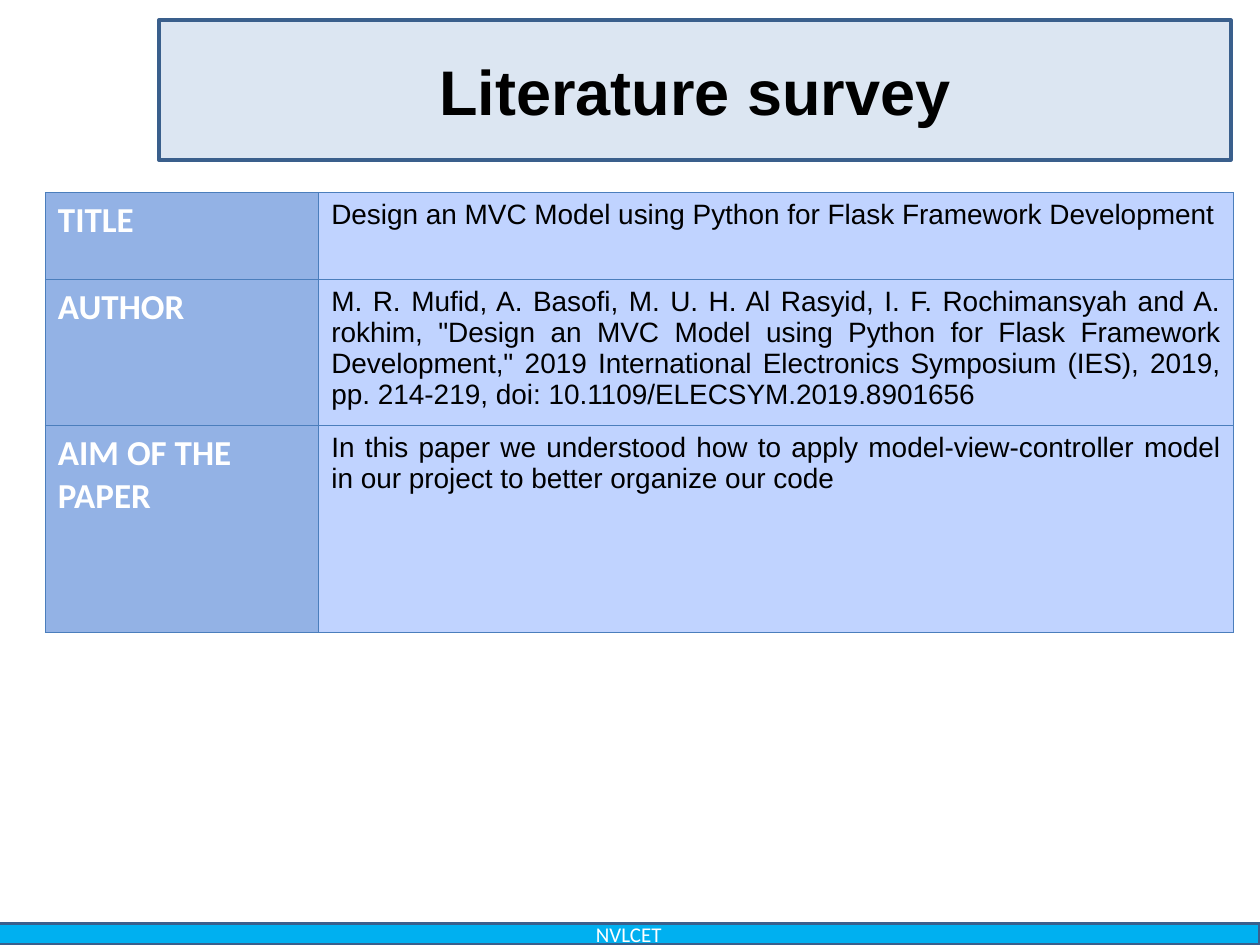
import dataclasses

import lxml.etree
import pptx
import pptx.dml.color
import pptx.enum.shapes
import pptx.enum.text
import pptx.oxml.ns
import pptx.util

Inches = pptx.util.Inches
Pt = pptx.util.Pt
RGBColor = pptx.dml.color.RGBColor
ALIGN = pptx.enum.text.PP_ALIGN
MIDDLE = pptx.enum.text.MSO_ANCHOR.MIDDLE

BLACK = RGBColor(0x00, 0x00, 0x00)
WHITE = RGBColor(0xFF, 0xFF, 0xFF)
PALE = RGBColor(0xDC, 0xE6, 0xF2)
CYAN = RGBColor(0x00, 0xB0, 0xF0)
NAVY = RGBColor(0x3A, 0x5F, 0x8C)
EDGE = RGBColor(0x4B, 0x7E, 0xBC)
LABEL = RGBColor(0x93, 0xB2, 0xE5)
BODY = RGBColor(0xC0, 0xD3, 0xFF)


@dataclasses.dataclass
class Style:
    """Look of one run of text and its paragraph."""
    size: int
    name: str
    color: RGBColor
    bold: bool
    align: ALIGN


@dataclasses.dataclass
class Bar:
    """A framed box with centred text."""
    text: str
    box: tuple
    fill: RGBColor
    style: Style


@dataclasses.dataclass
class Row:
    """One table row: label, text and height in inches."""
    label: str
    text: str
    height: float


HEAD = Style(36, "Arial", BLACK, True, ALIGN.CENTER)
FOOT = Style(12, "Calibri", WHITE, False, ALIGN.CENTER)
NAME = Style(20, "Calibri", WHITE, True, ALIGN.LEFT)
TEXT = Style(16, "Arial", BLACK, False, ALIGN.JUSTIFY)

BARS = [
    Bar("Literature survey", (1.26, 0.16, 8.51, 1.11), PALE, HEAD),
    Bar("NVLCET", (-0.02, 7.33, 10.02, 0.17), CYAN, FOOT),
]
ROWS = [
    Row("TITLE", "Design an MVC Model using Python for Flask Framework "
        "Development", 0.69),
    Row("AUTHOR", "M. R. Mufid, A. Basofi, M. U. H. Al Rasyid, "
        "I. F. Rochimansyah and A. rokhim, \"Design an MVC Model using Python "
        "for Flask Framework Development,\" 2019 International Electronics "
        "Symposium (IES), 2019, pp. 214-219, "
        "doi: 10.1109/ELECSYM.2019.8901656", 1.16),
    Row("AIM OF THE PAPER", "In this paper we understood how to apply "
        "model-view-controller model in our project to better organize "
        "our code", 1.64),
]
WIDTHS = (2.17, 7.26)


def write(frame, text: str, style: Style) -> None:
    """Put styled text in a frame."""
    para = frame.paragraphs[0]
    para.alignment = style.align
    run = para.add_run()
    run.text = text
    look = {"size": Pt(style.size), "name": style.name, "bold": style.bold}
    for key, value in look.items():
        setattr(run.font, key, value)
    run.font.color.rgb = style.color


def add_bar(slide, bar: Bar) -> None:
    """Draw a framed box with its text."""
    shape = slide.shapes.add_shape(
        pptx.enum.shapes.MSO_SHAPE.RECTANGLE, *map(Inches, bar.box))
    shape.shadow.inherit = False
    shape.fill.solid()
    shape.fill.fore_color.rgb = bar.fill
    shape.line.color.rgb = NAVY
    shape.line.width = Pt(2)
    frame = shape.text_frame
    layout = {"word_wrap": True, "vertical_anchor": MIDDLE,
              "margin_top": 0, "margin_bottom": 0}
    for key, value in layout.items():
        setattr(frame, key, value)
    write(frame, bar.text, bar.style)


def add_edges(cell) -> None:
    """Line all four sides of a cell, before its fill in the XML."""
    props = cell._tc.get_or_add_tcPr()
    for place, side in enumerate(("lnL", "lnR", "lnT", "lnB")):
        line = lxml.etree.Element(pptx.oxml.ns.qn(f"a:{side}"),
                                  w=str(Pt(0.75)))
        fill = lxml.etree.SubElement(line, pptx.oxml.ns.qn("a:solidFill"))
        lxml.etree.SubElement(fill, pptx.oxml.ns.qn("a:srgbClr"),
                              val=str(EDGE))
        props.insert(place, line)


def add_grid(slide) -> None:
    """Draw the survey table."""
    high = sum(row.height for row in ROWS)
    table = slide.shapes.add_table(
        len(ROWS), len(WIDTHS), Inches(0.36), Inches(1.53),
        Inches(sum(WIDTHS)), Inches(high)).table
    for flag in ("first_row", "horz_banding"):
        setattr(table, flag, False)
    for column, width in zip(table.columns, WIDTHS):
        column.width = Inches(width)
    for line, row in zip(table.rows, ROWS):
        line.height = Inches(row.height)
        parts = ((row.label, NAME, LABEL), (row.text, TEXT, BODY))
        for cell, (text, style, fill) in zip(line.cells, parts):
            cell.fill.solid()
            cell.fill.fore_color.rgb = fill
            add_edges(cell)
            write(cell.text_frame, text, style)


def main() -> None:
    """Build and save the slide."""
    deck = pptx.Presentation()
    deck.slide_width = Inches(10)
    deck.slide_height = Inches(7.5)
    slide = deck.slides.add_slide(deck.slide_layouts[6])
    for bar in BARS:
        add_bar(slide, bar)
    add_grid(slide)
    deck.save("out.pptx")


main()
